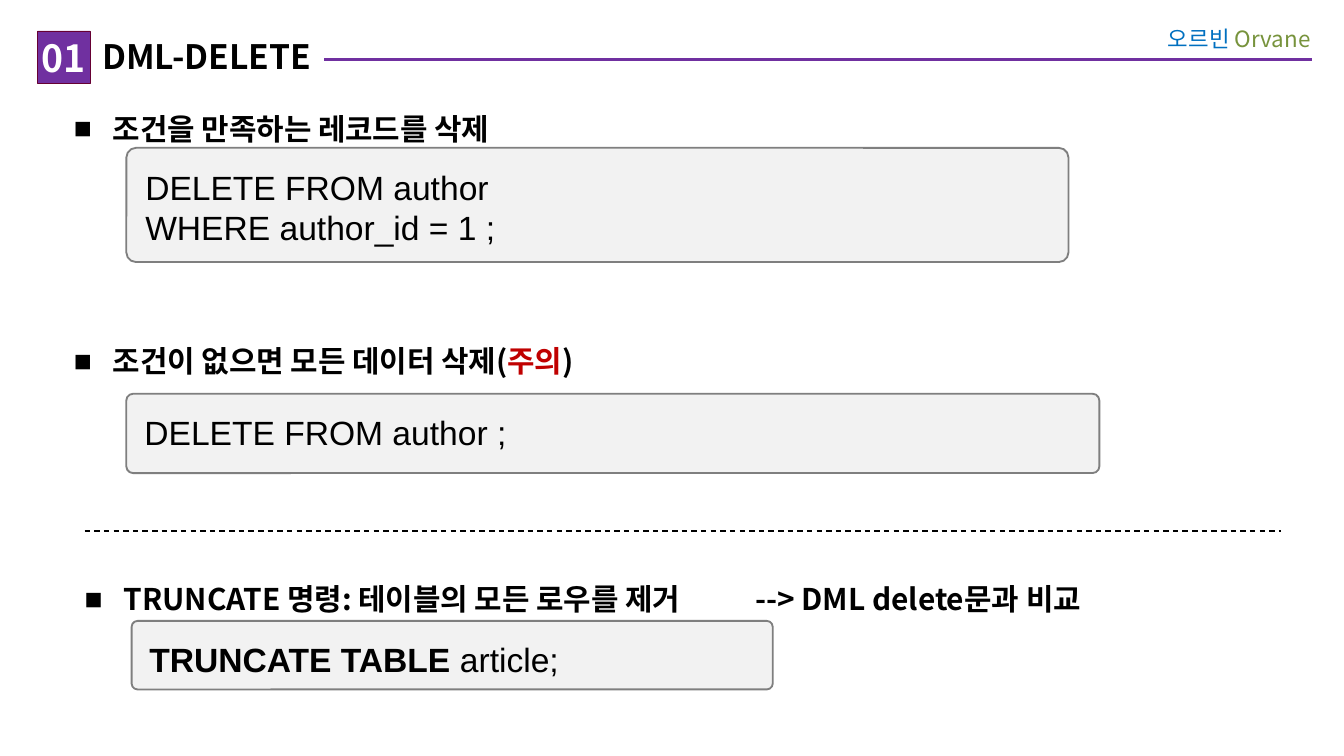
import pptx
import pptx.dml.color
import pptx.enum.dml
import pptx.enum.shapes
import pptx.enum.text
import pptx.oxml
import pptx.oxml.ns
import pptx.util

WIDTH = 10
HEIGHT = WIDTH * 9 / 16
COLORS = {
    "purple": "7030A0", "plum": "660033", "white": "FFFFFF", "black": "000000",
    "blue": "0070C0", "green": "77933C", "red": "C00000",
    "code_fill": "F2F2F2", "code_line": "7F7F7F",
}
KOREAN, CODE = "Noto Sans CJK KR", "Arial"
BULLET_INDENT = 0.29
SHAPES = pptx.enum.shapes.MSO_SHAPE
ALIGN = pptx.enum.text.PP_ALIGN
ANCHOR = pptx.enum.text.MSO_ANCHOR


def inches(*values):
    return [pptx.util.Inches(v) for v in values]


def rgb(name):
    return pptx.dml.color.RGBColor.from_string(COLORS[name])


def add_xml(parent, tag, **attributes):
    child = pptx.oxml.parse_xml(f"<a:{tag} {pptx.oxml.ns.nsdecls('a')}/>")
    for name, value in attributes.items():
        child.set(name, value)
    parent.append(child)
    return child


def place(sp, box):
    sp.left, sp.top, sp.width, sp.height = inches(*box)


def set_frame(sp, insets, anchor=ANCHOR.TOP):
    tf = sp.text_frame
    tf.word_wrap = True
    tf.auto_size = pptx.enum.text.MSO_AUTO_SIZE.NONE
    tf.vertical_anchor = anchor
    tf.margin_left, tf.margin_top, tf.margin_right, tf.margin_bottom = inches(*insets)
    return tf


def add_run(p, text, size, color="black", bold=False, font=KOREAN):
    r = p.add_run()
    r.text = text
    r.font.size = pptx.util.Pt(size)
    r.font.bold = bold
    r.font.name = font
    r.font.color.rgb = rgb(color)
    add_xml(r._r.get_or_add_rPr(), "ea", typeface=font)


def add_box(s, kind, box, fill, line, line_width):
    sp = s.shapes.add_shape(kind, *inches(*box))
    sp.shadow.inherit = False
    sp.fill.solid()
    sp.fill.fore_color.rgb = rgb(fill)
    sp.line.color.rgb = rgb(line)
    sp.line.width = pptx.util.Pt(line_width)
    return sp


def add_rule(s, x1, x2, y, color, width):
    rule = s.shapes.add_connector(
        pptx.enum.shapes.MSO_CONNECTOR.STRAIGHT, *inches(x1, y, x2, y))
    rule.line.color.rgb = rgb(color)
    rule.line.width = pptx.util.Pt(width)
    add_xml(rule._element.spPr, "effectLst")
    return rule


def add_header(s, number, title, subject):
    rule = add_rule(s, 0.71, 9.76, 0.44, "purple", 1.5)
    s.shapes._spTree.insert(2, rule._element)  # behind the title's white fill

    sp = s.shapes.title
    place(sp, (0.68, 0.23, 1.73, 0.38))
    sp.fill.solid()
    sp.fill.fore_color.rgb = rgb("white")
    p = set_frame(sp, (0.08, 0.04, 0, 0.04)).paragraphs[0]
    p.alignment = ALIGN.LEFT
    add_run(p, title, 18, bold=True)

    sp = add_box(s, SHAPES.RECTANGLE, (0.28, 0.23, 0.39, 0.39), "purple", "plum", 0.25)
    p = set_frame(sp, (0, 0, 0, 0), ANCHOR.MIDDLE).paragraphs[0]
    p.alignment = ALIGN.CENTER
    p.space_before = pptx.util.Pt(5)
    add_run(p, number, 20, "white", True)

    sp = s.shapes.add_textbox(*inches(8.31, 0.11, 1.54, 0.36))
    p = set_frame(sp, (0.1, 0.08, 0.1, 0.08)).paragraphs[0]
    p.alignment = ALIGN.RIGHT
    for text, color in subject:
        add_run(p, text, 12, color)


def fill_bullet(sp, runs, tab=None):
    """Write one square-bulleted heading; tab is an optional stop in inches."""
    p = set_frame(sp, (0.12, 0, 0.1, 0.05)).paragraphs[0]
    p.alignment = ALIGN.LEFT
    p.line_spacing = 1.5
    p.space_before = pptx.util.Pt(0)
    pPr = p._p.get_or_add_pPr()
    indent = pptx.util.Inches(BULLET_INDENT)
    pPr.set("marL", str(indent))
    pPr.set("indent", str(-indent))
    add_xml(add_xml(pPr, "buClr"), "srgbClr", val=COLORS["black"])
    add_xml(pPr, "buFont", typeface=CODE)
    add_xml(pPr, "buChar", char="■")
    if tab:
        add_xml(add_xml(pPr, "tabLst"), "tab", pos=str(pptx.util.Inches(tab)), algn="l")
    for text, color in runs:
        add_run(p, text, 16, color, True)


def add_code(s, box, lines):
    """Add a rounded code panel; each line is a list of (text, bold) runs."""
    sp = add_box(s, SHAPES.ROUNDED_RECTANGLE, box, "code_fill", "code_line", 1)
    sp.adjustments[0] = 0.085
    tf = set_frame(sp, (0.12, 0.12, 0.12, 0.12))
    for i, runs in enumerate(lines):
        p = tf.add_paragraph() if i else tf.paragraphs[0]
        p.alignment = ALIGN.LEFT
        for text, bold in runs:
            add_run(p, text, 18, bold=bold, font=CODE)


def main():
    prs = pptx.Presentation()
    prs.slide_width, prs.slide_height = inches(WIDTH, HEIGHT)
    s = prs.slides.add_slide(prs.slide_layouts[1])

    add_header(s, "01", "DML-DELETE", [("오르빈 ", "blue"), ("Orvane", "green")])

    body = s.placeholders[1]
    place(body, (0.43, 0.69, 9.29, 1.18))
    fill_bullet(body, [("조건을 만족하는 레코드를 삭제", "black")])
    add_code(s, (0.94, 1.1, 7.01, 0.85),
             [[("DELETE FROM author", False)], [("WHERE author_id = 1 ;", False)]])

    sp = s.shapes.add_textbox(*inches(0.43, 2.42, 9.29, 1.18))
    fill_bullet(sp, [("조건이 없으면 모든 데이터 삭제(", "black"), ("주의", "red"), (")", "black")])
    add_code(s, (0.94, 2.93, 7.24, 0.59), [[("DELETE FROM author ;", False)]])

    add_rule(s, 0.63, 9.53, 3.95, "black", 0.75).line.dash_style = (
        pptx.enum.dml.MSO_LINE.DASH)

    sp = s.shapes.add_textbox(*inches(0.51, 4.19, 8.51, 0.39))
    fill_bullet(sp, [("TRUNCATE 명령: 테이블의 모든 로우를 제거\t--> DML delete문과 비교", "black")],
                tab=4.99)
    add_code(s, (0.98, 4.62, 4.77, 0.51),
             [[("TRUNCATE TABLE ", True), ("article;", False)]])

    prs.save("out.pptx")


if __name__ == "__main__":
    main()
